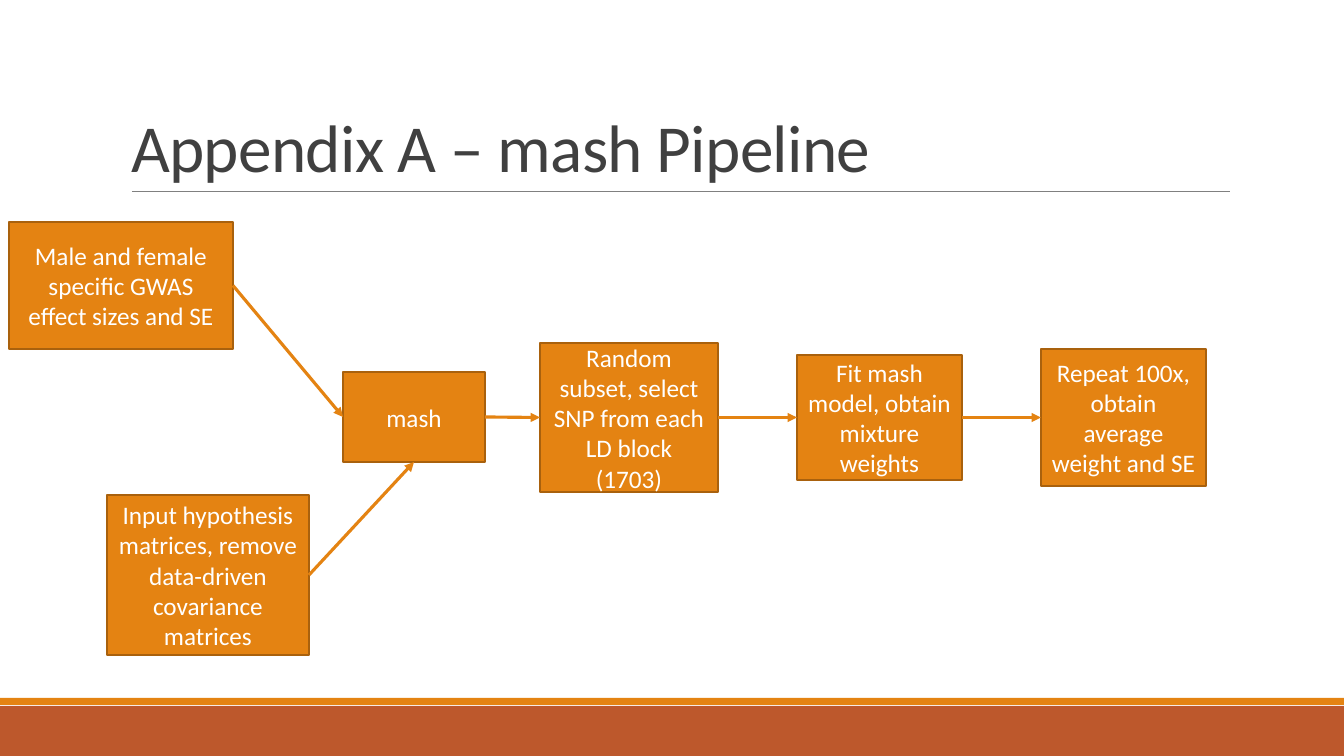
import pptx
import pptx.dml.color
import pptx.enum.shapes
import pptx.enum.text
import pptx.oxml.ns
import pptx.util
from lxml import etree

COLOURS = {
    "band": "BD582C",
    "accent": "E48312",
    "outline": "A9610D",
    "rule": "808080",
    "title": "404040",
    "label": "FFFFFF",
}
PAGE_WIDTH, PAGE_HEIGHT = 1344, 756
FLOW_MIDDLE = 417
TOP, LEFT, BOTTOM, RIGHT = range(4)


class PipelineSlide:
    """Draws styled elements on one slide, with lengths in px."""

    font_name = "Calibri"

    def __init__(self, deck):
        deck.slide_width = self.px(PAGE_WIDTH)
        deck.slide_height = self.px(PAGE_HEIGHT)
        self.page = deck.slides.add_slide(deck.slide_layouts[5])

    def px(self, length):
        return pptx.util.Emu(round(length * 914400 / 100.8))

    def colour(self, name):
        return pptx.dml.color.RGBColor.from_string(COLOURS[name])

    def add_span(self, para, text, size, colour):
        span = para.add_run()
        span.text = text
        span.font.name = self.font_name
        span.font.size = pptx.util.Pt(size)
        span.font.color.rgb = self.colour(colour)
        return span

    def title(self, text, left, top, width, height):
        box = self.page.shapes.title
        box.left, box.top = self.px(left), self.px(top)
        box.width, box.height = self.px(width), self.px(height)
        frame = box.text_frame
        frame.word_wrap = True
        frame.auto_size = pptx.enum.text.MSO_AUTO_SIZE.NONE
        frame.vertical_anchor = pptx.enum.text.MSO_ANCHOR.BOTTOM
        para = frame.paragraphs[0]
        para.alignment = pptx.enum.text.PP_ALIGN.LEFT
        para.line_spacing = 0.85
        span = self.add_span(para, text, 48, "title")
        span.font._element.set("spc", "-50")

    def block(self, left, top, width, height, fill):
        box = self.page.shapes.add_shape(
            pptx.enum.shapes.MSO_SHAPE.RECTANGLE,
            self.px(left), self.px(top), self.px(width), self.px(height))
        box.shadow.inherit = False
        box.fill.solid()
        box.fill.fore_color.rgb = self.colour(fill)
        box.line.fill.background()
        return box

    def step(self, text, left, top, width, height):
        box = self.block(left, top, width, height, "accent")
        box.line.color.rgb = self.colour("outline")
        box.line.width = pptx.util.Pt(1.25)
        frame = box.text_frame
        frame.word_wrap = True
        frame.vertical_anchor = pptx.enum.text.MSO_ANCHOR.MIDDLE
        para = frame.paragraphs[0]
        para.alignment = pptx.enum.text.PP_ALIGN.CENTER
        self.add_span(para, text, 18, "label")
        return box

    def line(self, start, end, colour, weight):
        points = [self.px(length) for length in (*start, *end)]
        connector = self.page.shapes.add_connector(
            pptx.enum.shapes.MSO_CONNECTOR.STRAIGHT, *points)
        connector.line.color.rgb = self.colour(colour)
        connector.line.width = pptx.util.Pt(weight)
        properties = connector._element.spPr
        etree.SubElement(properties, pptx.oxml.ns.qn("a:effectLst"))
        return connector

    def arrow(self, source, target, side=LEFT):
        connector = self.line((0, 0), (0, 0), "accent", 2.25)
        connector.begin_connect(source, RIGHT)
        connector.end_connect(target, side)
        stroke = connector.line._get_or_add_ln()
        etree.SubElement(stroke, pptx.oxml.ns.qn("a:tailEnd"), type="triangle")


def main():
    deck = pptx.Presentation()
    slide = PipelineSlide(deck)

    slide.block(0, 706, PAGE_WIDTH, 50, "band")
    slide.block(0, 698, PAGE_WIDTH, 7, "accent")
    slide.line((132, 191), (1230, 191), "rule", 0.5)
    slide.title("Appendix A – mash Pipeline", 121, 31, 1109, 160)

    effects = slide.step("Male and female specific GWAS effect sizes and SE",
                         9, 222, 224, 127)
    matrices = slide.step(
        "Input hypothesis matrices, remove data-driven covariance matrices",
        107, 495, 202, 160)

    flow = [
        ("mash", 343, 142, 90),
        ("Random subset, select SNP from each LD block (1703)", 540, 178, 149),
        ("Fit mash model, obtain mixture weights", 797, 165, 125),
        ("Repeat 100x, obtain average weight and SE", 1041, 165, 137),
    ]
    steps = [slide.step(text, left, FLOW_MIDDLE - height // 2, width, height)
             for text, left, width, height in flow]

    slide.arrow(effects, steps[0])
    slide.arrow(matrices, steps[0], BOTTOM)
    for source, target in zip(steps, steps[1:]):
        slide.arrow(source, target)

    deck.save("out.pptx")


if __name__ == "__main__":
    main()
